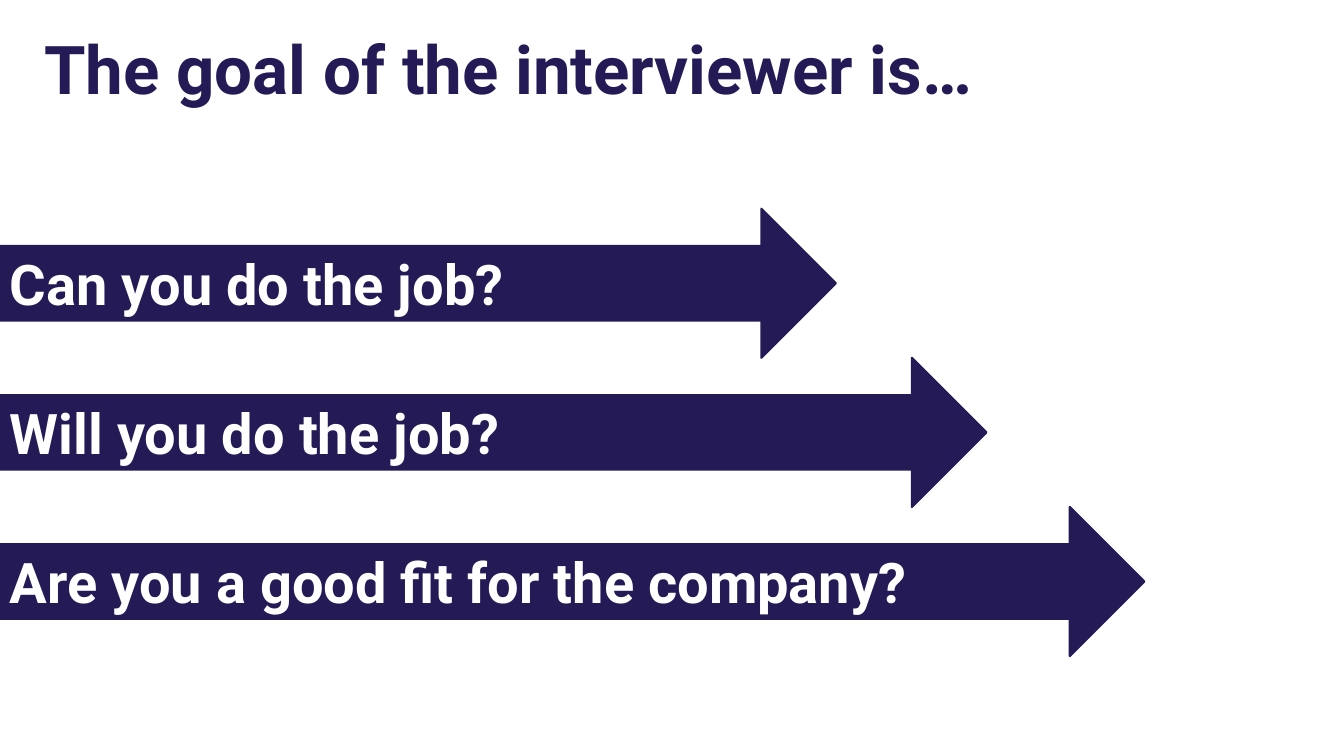
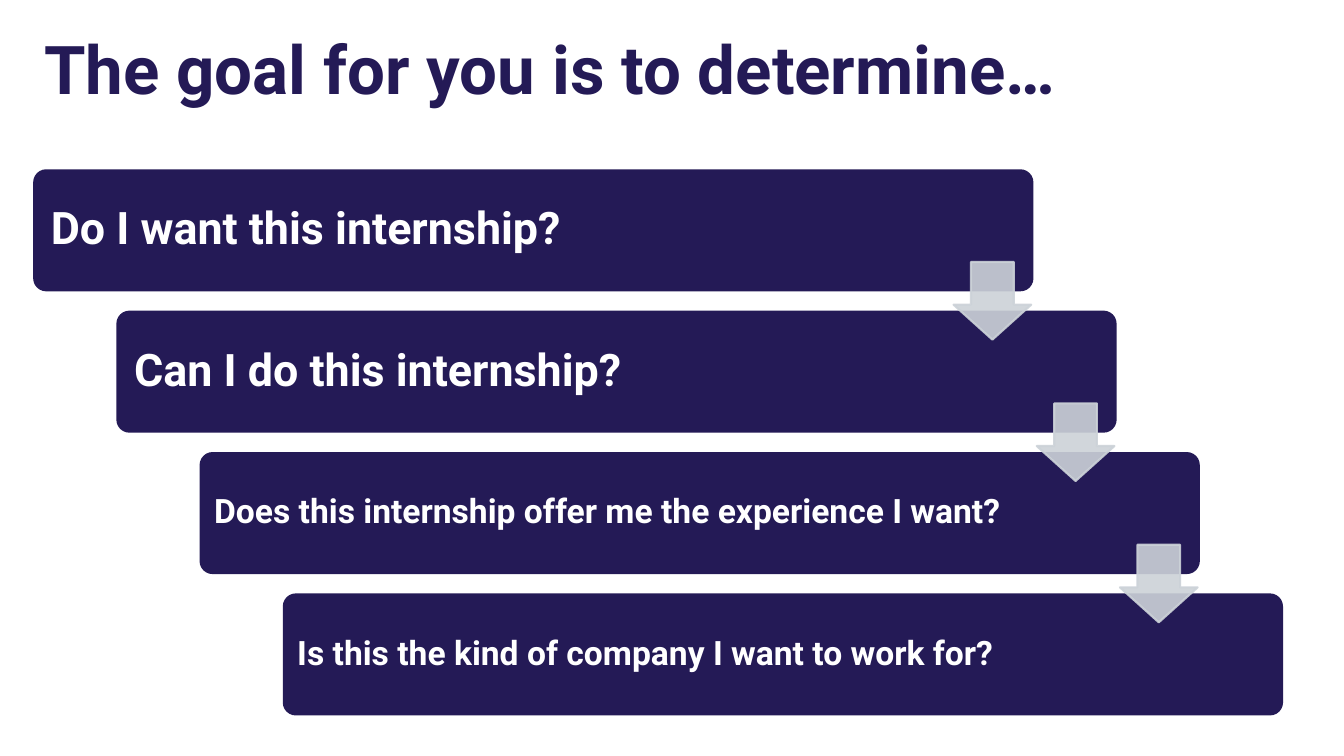
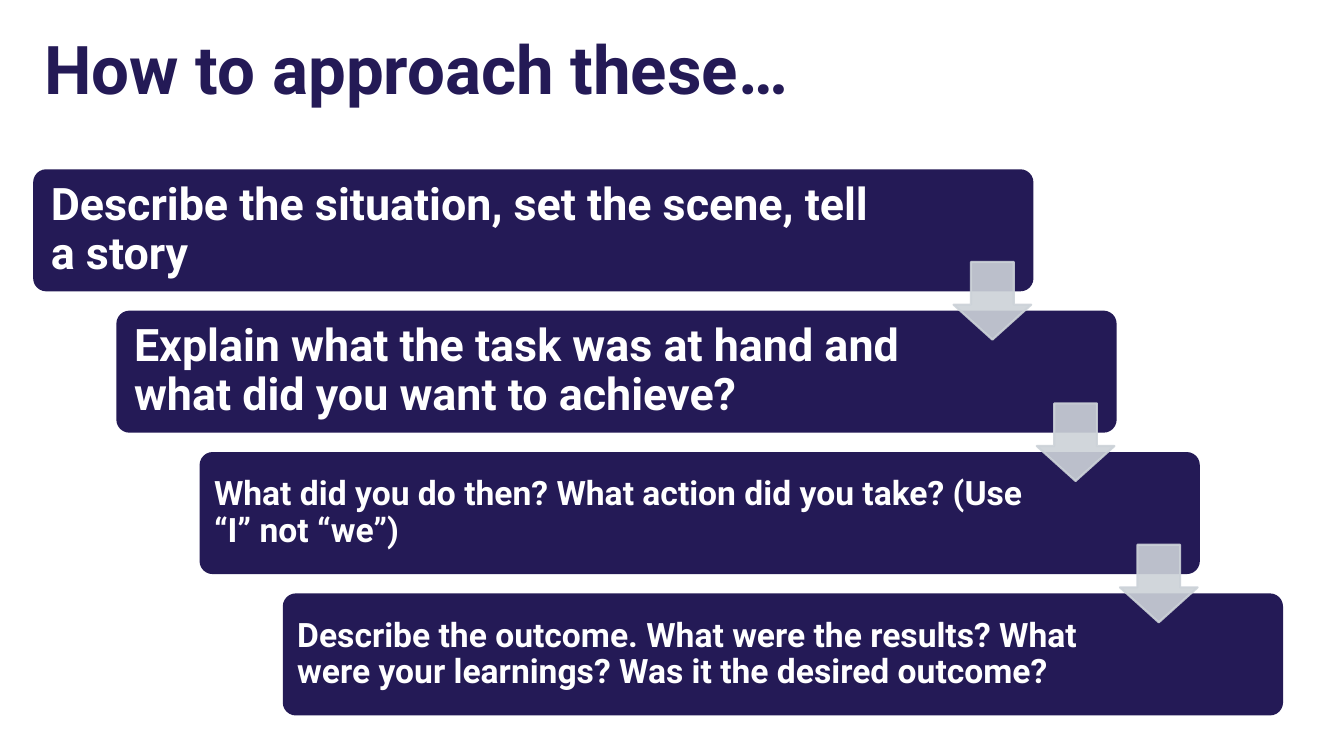
"""Build three interview-preparation slides: the interviewer's goal, your goal, and how to answer."""
from pptx import Presentation
from pptx.dml.color import RGBColor
from pptx.enum.shapes import MSO_SHAPE
from pptx.enum.text import MSO_ANCHOR, MSO_AUTO_SIZE, PP_ALIGN
from pptx.oxml.ns import qn
from pptx.util import Emu, Inches, Pt
from lxml.etree import SubElement

NAVY = RGBColor(0x24, 0x1A, 0x56)
SILVER = RGBColor(0xCC, 0xD2, 0xD8)
WHITE = RGBColor(0xFF, 0xFF, 0xFF)
FONT = "Roboto"

TITLES = [
    "The goal of the interviewer is…",
    "The goal for you is to determine…",
    "How to approach these…",
]
INTERVIEWER_QUESTIONS = [
    ("Can you do the job?", 62.2),
    ("Will you do the job?", 73.4),
    ("Are you a good fit for the company?", 85.15),
]
OWN_QUESTIONS = [
    "Do I want this internship?",
    "Can I do this internship?",
    "Does this internship offer me the experience I want?",
    "Is this the kind of company I want to work for?",
]
ANSWER_STEPS = [
    "Describe the situation, set the scene, tell a story",
    "Explain what the task was at hand and what did you want to achieve?",
    "What did you do then? What action did you take? (Use “I” not “we”)",
    "Describe the outcome. What were the results? What were your learnings? Was it the desired outcome?",
]
STEP_SIZES = [32, 32, 24, 24]
STEP_INSETS = [0.13, 0.13, 0.1, 0.1]

deck = Presentation()
deck.slide_width = Inches(13.33)
deck.slide_height = Inches(7.5)
COLUMN = deck.slide_width / 100
ROW = deck.slide_height / 100

MARGIN = 2.55
STAIR_TOP, STAIR_RUN, STAIR_RISE = 22.53, 6.19, 18.7
STEP_WIDTH, STEP_HEIGHT = 74.27, 15.87


def add_filled(slide, preset, left, top, width, height, color):
    shape = slide.shapes.add_shape(
        preset, Emu(int(left * COLUMN)), Emu(int(top * ROW)),
        Emu(int(width * COLUMN)), Emu(int(height * ROW)))
    shape.shadow.inherit = False
    shape.fill.solid()
    shape.fill.fore_color.rgb = color
    shape.line.color.rgb = color
    shape.line.width = Pt(1.5)
    return shape


def write(shape, text, size, color, anchor):
    frame = shape.text_frame
    frame.word_wrap = True
    frame.vertical_anchor = anchor
    paragraph = frame.paragraphs[0]
    paragraph.text = text
    paragraph.alignment = PP_ALIGN.LEFT
    paragraph.font.name = FONT
    paragraph.font.size = Pt(size)
    paragraph.font.bold = True
    paragraph.font.color.rgb = color
    return frame


slides = []
for heading in TITLES:
    slide = deck.slides.add_slide(deck.slide_layouts.get_by_name("Title Only"))
    title = slide.shapes.title
    title.left, title.top = Emu(int(MARGIN * COLUMN)), Emu(int(2.93 * ROW))
    title.width, title.height = Emu(int(81.1 * COLUMN)), Emu(int(12.13 * ROW))
    frame = write(title, heading, 48, NAVY, MSO_ANCHOR.TOP)
    frame.auto_size = MSO_AUTO_SIZE.SHAPE_TO_FIT_TEXT
    slides.append(slide)
interviewer_slide, own_goal_slide, approach_slide = slides

for row, (question, length) in enumerate(INTERVIEWER_QUESTIONS):
    arrow = add_filled(interviewer_slide, MSO_SHAPE.RIGHT_ARROW,
                       0, 27.6 + row * 19.73, length, 19.73, NAVY)
    write(arrow, question, 40, WHITE, MSO_ANCHOR.MIDDLE)

for slide, steps in [(own_goal_slide, OWN_QUESTIONS), (approach_slide, ANSWER_STEPS)]:
    for index, (text, size, inset) in enumerate(zip(steps, STEP_SIZES, STEP_INSETS)):
        step = add_filled(slide, MSO_SHAPE.ROUNDED_RECTANGLE,
                          MARGIN + index * STAIR_RUN, STAIR_TOP + index * STAIR_RISE,
                          STEP_WIDTH, STEP_HEIGHT, NAVY)
        step.adjustments[0] = 0.1
        frame = write(step, text, size, WHITE, MSO_ANCHOR.MIDDLE)
        frame.margin_left = frame.margin_top = frame.margin_bottom = Inches(inset)
        frame.margin_right = Inches(1.5)
        frame.paragraphs[0].line_spacing = 0.9

    for index in range(len(steps) - 1):
        descent = add_filled(slide, MSO_SHAPE.DOWN_ARROW,
                             MARGIN + index * STAIR_RUN + 68.4,
                             STAIR_TOP + index * STAIR_RISE + 12.13,
                             5.78, 10.27, SILVER)
        descent.adjustments[0] = 0.55
        descent.adjustments[1] = 0.45
        for tint in list(descent.element.spPr.iter(qn("a:srgbClr"))):
            SubElement(tint, qn("a:alpha"), val="90000")

deck.save("out.pptx")
